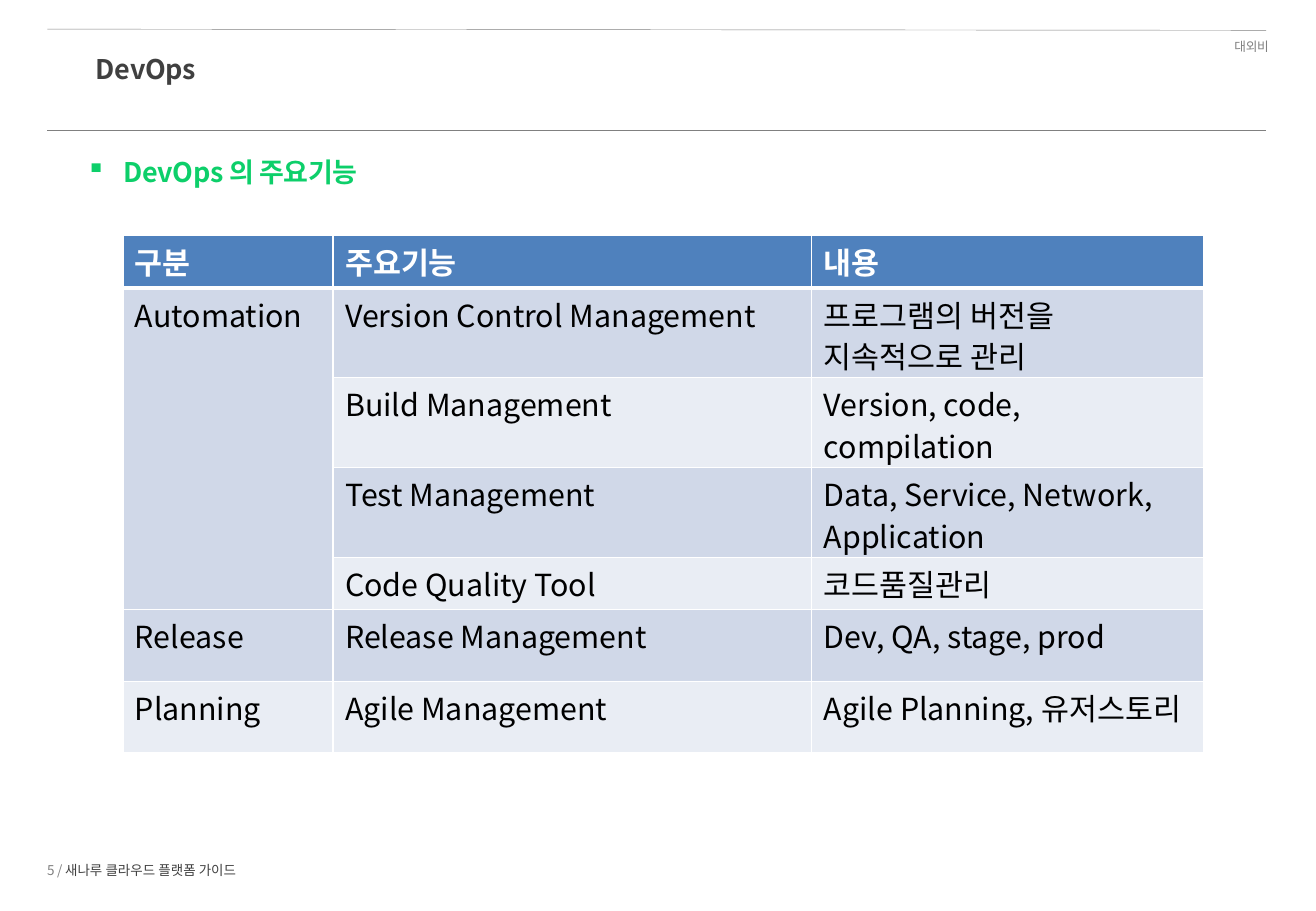
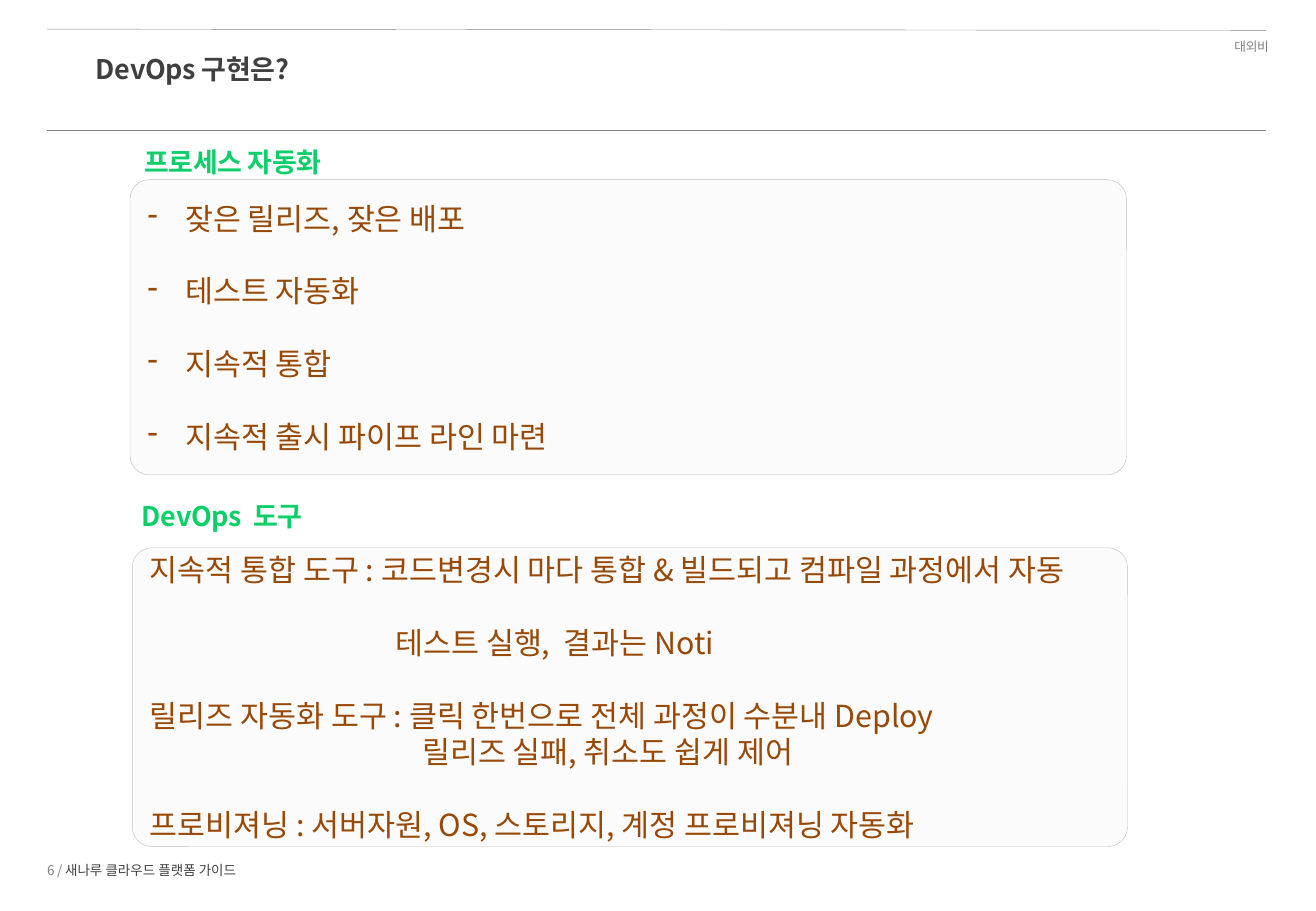
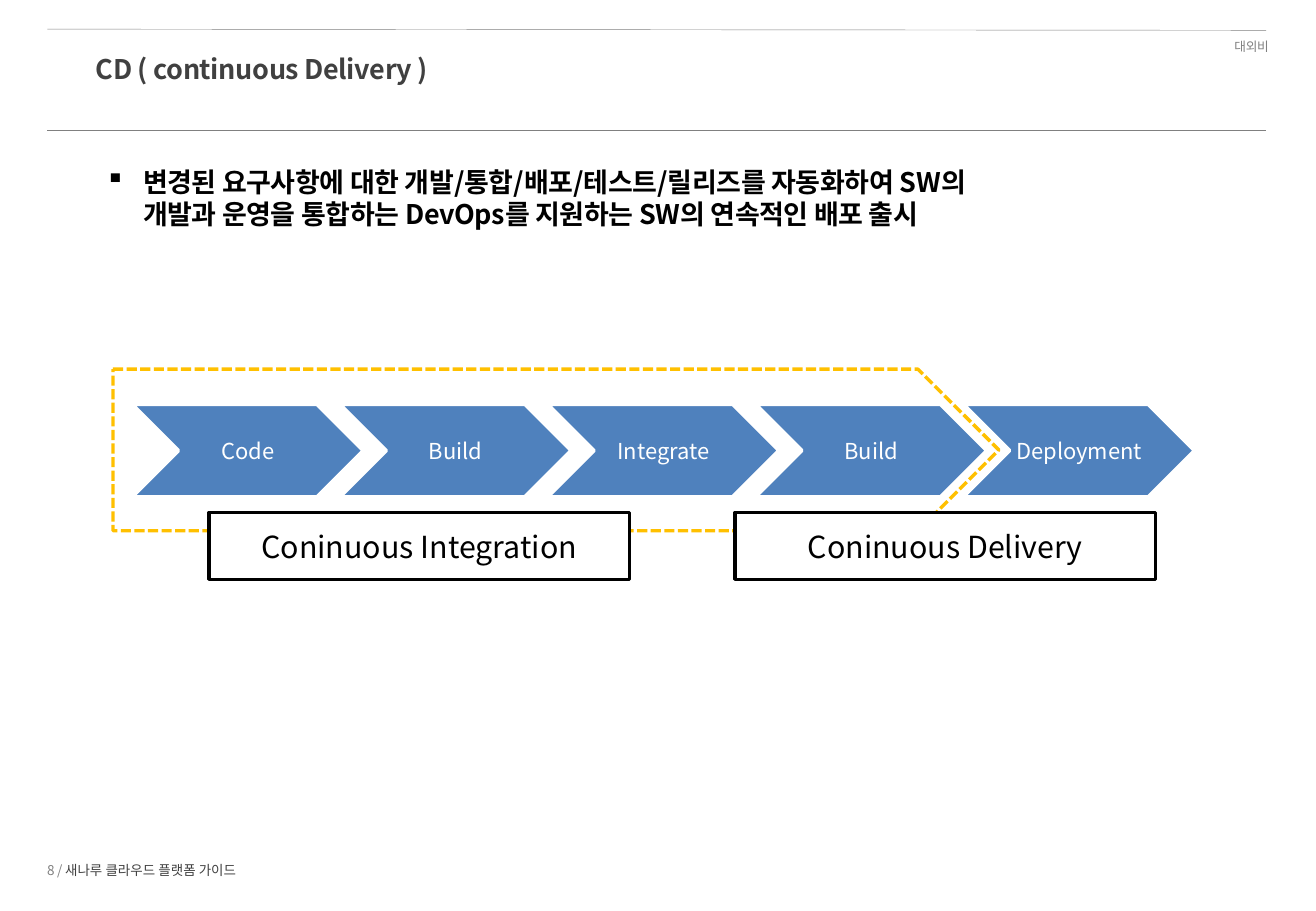
from dataclasses import dataclass
from typing import NamedTuple, Optional, Sequence

from pptx import Presentation
from pptx import util as u
from pptx.dml.color import RGBColor
from pptx.enum import dml, shapes, text
from pptx.oxml.ns import qn
from lxml import etree

# Slide size, font and colours
W, H = u.Inches(10.83), u.Inches(7.5)
FONT = "Noto Sans CJK KR"
WHITE = RGBColor(0xFF, 0xFF, 0xFF)
BLACK = RGBColor(0x00, 0x00, 0x00)
GREY = RGBColor(0x80, 0x80, 0x80)
DARK = RGBColor(0x40, 0x40, 0x40)
GREEN = RGBColor(0x0D, 0xCF, 0x6A)
BROWN = RGBColor(0x98, 0x48, 0x07)
BLUE = RGBColor(0x4F, 0x81, 0xBD)
BAND_DARK = RGBColor(0xD0, 0xD8, 0xE8)
BAND_LIGHT = RGBColor(0xE9, 0xED, 0xF4)
PANEL = RGBColor(0xF2, 0xF2, 0xF2)
PANEL_EDGE = RGBColor(0xBF, 0xBF, 0xBF)
AMBER = RGBColor(0xFF, 0xC0, 0x00)

LEFT, CENTER, RIGHT = (text.PP_ALIGN.LEFT, text.PP_ALIGN.CENTER,
                       text.PP_ALIGN.RIGHT)
TOP, MIDDLE = text.MSO_ANCHOR.TOP, text.MSO_ANCHOR.MIDDLE
HANG = 0.31


def across(share: float) -> int:
    """Percent of the slide width as a length."""
    return round(W * share / 100)


def down(share: float) -> int:
    """Percent of the slide height as a length."""
    return round(H * share / 100)


class Box(NamedTuple):
    """A frame in percent of the slide's width and height."""
    left: float
    top: float
    width: float
    height: float

    def emu(self) -> tuple:
        return (across(self.left), down(self.top),
                across(self.width), down(self.height))


class Style(NamedTuple):
    size: float
    color: RGBColor
    bold: bool = False
    spacing: float = 0


@dataclass
class Para:
    runs: Sequence[tuple]
    align: text.PP_ALIGN = LEFT
    bullet: str = ""
    indent: float = 0
    leading: Optional[float] = None
    before: float = 0


TITLE = Style(16, DARK, True, -0.2)
HEADING = Style(16, GREEN, True, -0.2)
LEAD = Style(16, BLACK, True, -0.2)
BODY = Style(18, BROWN)
LABEL = Style(18, BLACK)
STEP = Style(13, WHITE)
HEAD_LINE, BODY_LINE, CELL_LINE = 19.2, 21.6, 24.8


# Text
def write(tf, paras: Sequence[Para], anchor=TOP) -> None:
    tf.word_wrap = True
    tf.auto_size = text.MSO_AUTO_SIZE.NONE
    tf.vertical_anchor = anchor
    fill_paragraphs(tf, paras)


def fill_paragraphs(tf, paras: Sequence[Para]) -> None:
    for i, para in enumerate(paras):
        p = tf.add_paragraph() if i else tf.paragraphs[0]
        p.alignment = para.align
        p.space_before = u.Pt(para.before)
        if para.leading:
            p.line_spacing = u.Pt(para.leading)
        pPr = p._p.get_or_add_pPr()
        if para.bullet:
            pPr.set("marL", str(u.Inches(HANG)))
            pPr.set("indent", str(-u.Inches(HANG)))
            etree.SubElement(pPr, qn("a:buChar")).set("char", para.bullet)
        elif para.indent:
            pPr.set("marL", str(u.Inches(para.indent)))
        for words, style in para.runs:
            r = p.add_run()
            r.text = words
            r.font.name = FONT
            r.font.size = u.Pt(style.size)
            r.font.bold = style.bold
            r.font.color.rgb = style.color
            rPr = r._r.get_or_add_rPr()
            rPr.set("spc", str(round(style.spacing * 100)))
            etree.SubElement(rPr, qn("a:ea")).set("typeface", FONT)


def add_text(slide, box: Box, paras: Sequence[Para], anchor=TOP):
    sp = slide.shapes.add_textbox(*box.emu())
    write(sp.text_frame, paras, anchor)
    return sp


def add_heading(slide, box: Box, words: str, style: Style = HEADING,
                bullet: str = "") -> None:
    add_text(slide, box, [Para([(words, style)], bullet=bullet,
                               leading=HEAD_LINE)])


# Shapes
def add_shape(slide, kind, box: Box, fill: Optional[RGBColor],
              line: RGBColor, width: float):
    sp = slide.shapes.add_shape(kind, *box.emu())
    sp.shadow.inherit = False
    if fill is None:
        sp.fill.background()
    else:
        sp.fill.solid()
        sp.fill.fore_color.rgb = fill
    sp.line.color.rgb = line
    sp.line.width = u.Pt(width)
    return sp


def add_rule(slide, y_start: float, y_end: float) -> None:
    c = slide.shapes.add_connector(shapes.MSO_CONNECTOR.STRAIGHT,
                                   across(3.6), down(y_start),
                                   across(96.21), down(y_end))
    c.line.color.rgb = GREY
    c.line.width = u.Pt(0.25)
    etree.SubElement(c._element.spPr, qn("a:effectLst"))


def add_panel(slide, box: Box, paras: Sequence[Para]) -> None:
    sp = add_shape(slide, shapes.MSO_SHAPE.ROUNDED_RECTANGLE, box,
                   PANEL, PANEL_EDGE, 0.25)
    sp.adjustments[0] = 0.065
    clr = sp._element.spPr.find(qn("a:solidFill"))[0]
    etree.SubElement(clr, qn("a:alpha")).set("val", "30000")
    sp.text_frame.margin_right = 0
    write(sp.text_frame, paras, MIDDLE)


# Shared frame: rules, confidentiality mark, footer and title
def new_slide(prs, number: int, title: str):
    slide = prs.slides.add_slide(prs.slide_layouts[5])
    add_rule(slide, 3.2, 3.33)
    add_rule(slide, 14.27, 14.27)
    add_text(slide, Box(87.17, 2.93, 10.16, 3.87),
             [Para([("대외비", Style(7.5, GREY, spacing=-0.2))],
                   align=RIGHT, leading=12.6)])
    add_text(slide, Box(2.68, 93.73, 30.47, 3.6),
             [Para([(f"{number} / ", Style(8, GREY, spacing=-0.2)),
                    ("새나루 클라우드 플랫폼 가이드", Style(8, DARK))])],
             MIDDLE)
    sp = slide.shapes.title
    sp.left, sp.top, sp.width, sp.height = Box(6.37, 4.4, 87.26, 5.47).emu()
    write(sp.text_frame, [Para([(title, TITLE)], leading=23)])
    return slide


# Table
def set_borders(cell, bottom: float) -> None:
    tcPr = cell._tc.get_or_add_tcPr()
    for side, width in (("L", 1), ("R", 1), ("T", 1), ("B", bottom)):
        ln = etree.SubElement(tcPr, qn(f"a:ln{side}"), w=str(u.Pt(width)))
        solid = etree.SubElement(ln, qn("a:solidFill"))
        etree.SubElement(solid, qn("a:srgbClr"), val=str(WHITE))


def add_table(slide, left: float, top: float, cols: Sequence[float],
              heights: Sequence[float], rows: Sequence[Sequence[str]]):
    box = Box(left, top, sum(cols), sum(heights))
    table = slide.shapes.add_table(len(rows), len(cols), *box.emu()).table
    for column, share in zip(table.columns, cols):
        column.width = across(share)
    for i, (row, share) in enumerate(zip(rows, heights)):
        table.rows[i].height = down(share)
        fill = BLUE if i == 0 else BAND_DARK if i % 2 else BAND_LIGHT
        style = Style(18, WHITE, True) if i == 0 else LABEL
        for j, words in enumerate(row):
            cell = table.cell(i, j)
            set_borders(cell, 1 if i else 3)
            cell.fill.solid()
            cell.fill.fore_color.rgb = fill
            cell.margin_bottom = 0
            if words:
                fill_paragraphs(cell.text_frame, [
                    Para([(words, style)], leading=CELL_LINE)])
    return table


# Slides
def features_slide(prs) -> None:
    slide = new_slide(prs, 5, "DevOps")
    add_heading(slide, Box(5.63, 16.4, 68.33, 4.93), "DevOps 의 주요기능",
                bullet="▪")
    single, double, tall = 5.73, 9.87, 7.87
    table = add_table(
        slide, 9.33, 25.87, (15.97, 36.38, 29.82),
        (single, double, double, double, single, tall, tall),
        (("구분", "주요기능", "내용"),
         ("Automation", "Version Control Management",
          "프로그램의 버전을 지속적으로 관리"),
         ("", "Build Management", "Version, code, compilation"),
         ("", "Test Management", "Data, Service, Network, Application"),
         ("", "Code Quality Tool", "코드품질관리"),
         ("Release", "Release Management", "Dev, QA, stage, prod"),
         ("Planning", "Agile Management", "Agile Planning, 유저스토리")))
    table.cell(1, 0).merge(table.cell(4, 0))


def practice_slide(prs) -> None:
    slide = new_slide(prs, 6, "DevOps 구현은?")
    add_heading(slide, Box(10.06, 15.33, 27.61, 4.93), "프로세스 자동화")
    goals = ("잦은 릴리즈, 잦은 배포", "테스트 자동화", "지속적 통합",
             "지속적 출시 파이프 라인 마련")
    add_panel(slide, Box(9.88, 19.73, 75.72, 32.4), [
        Para([(goal, BODY)], bullet="-", leading=BODY_LINE,
             before=BODY_LINE if i else 0)
        for i, goal in enumerate(goals)])

    add_heading(slide, Box(9.88, 54.13, 21.24, 4.93), "DevOps  도구")
    # words, indent in inches, blank lines before
    tools = (
        ("지속적 통합 도구 : 코드변경시 마다 통합 & 빌드되고 컴파일 과정에서 자동",
         0, 0),
        ("테스트 실행,  결과는 Noti", 2.02, 1),
        ("릴리즈 자동화 도구 : 클릭 한번으로 전체 과정이 수분내 Deploy", 0, 1),
        ("릴리즈 실패, 취소도 쉽게 제어", 2.24, 0),
        ("프로비져닝 : 서버자원, OS, 스토리지, 계정 프로비져닝 자동화", 0, 1))
    add_panel(slide, Box(10.06, 60.13, 75.62, 32.8), [
        Para([(words, BODY)], indent=indent, leading=BODY_LINE,
             before=gap * BODY_LINE)
        for words, indent, gap in tools])


def delivery_slide(prs) -> None:
    slide = new_slide(prs, 8, "CD ( continuous Delivery )")
    add_heading(slide, Box(7.11, 17.47, 68.33, 8.53),
                "변경된 요구사항에 대한 개발/통합/배포/테스트/릴리즈를 자동화하여 "
                "SW의 개발과 운영을 통합하는 DevOps를 지원하는 "
                "SW의 연속적인 배포 출시", LEAD, "▪")
    # Pipeline steps
    steps = ("Code", "Build", "Integrate", "Build", "Deployment")
    for i, step in enumerate(steps):
        sp = add_shape(slide, shapes.MSO_SHAPE.CHEVRON,
                       Box(10.06 + 15.79 * i, 44.4, 17.54, 10.13),
                       BLUE, WHITE, 2)
        tf = sp.text_frame
        tf.margin_left = tf.margin_right = u.Inches(0.02)
        tf.margin_top = tf.margin_bottom = u.Inches(0.02)
        write(tf, [Para([(step, STEP)], align=CENTER)], MIDDLE)
    # Dashed outline around the integrated steps
    outline = add_shape(slide, shapes.MSO_SHAPE.PENTAGON,
                        Box(8.59, 40.53, 67.31, 17.73), None, AMBER, 2)
    outline.line.dash_style = dml.MSO_LINE.SQUARE_DOT
    # Phase labels
    for left, words in ((15.88, "Coninuous Integration"),
                        (55.86, "Coninuous Delivery")):
        sp = add_shape(slide, shapes.MSO_SHAPE.RECTANGLE,
                       Box(left, 56.27, 31.95, 7.33), WHITE, BLACK, 2)
        write(sp.text_frame, [Para([(words, LABEL)], align=CENTER)], MIDDLE)


def main() -> None:
    prs = Presentation()
    prs.slide_width, prs.slide_height = W, H
    features_slide(prs)
    practice_slide(prs)
    delivery_slide(prs)
    prs.save("out.pptx")


if __name__ == "__main__":
    main()
